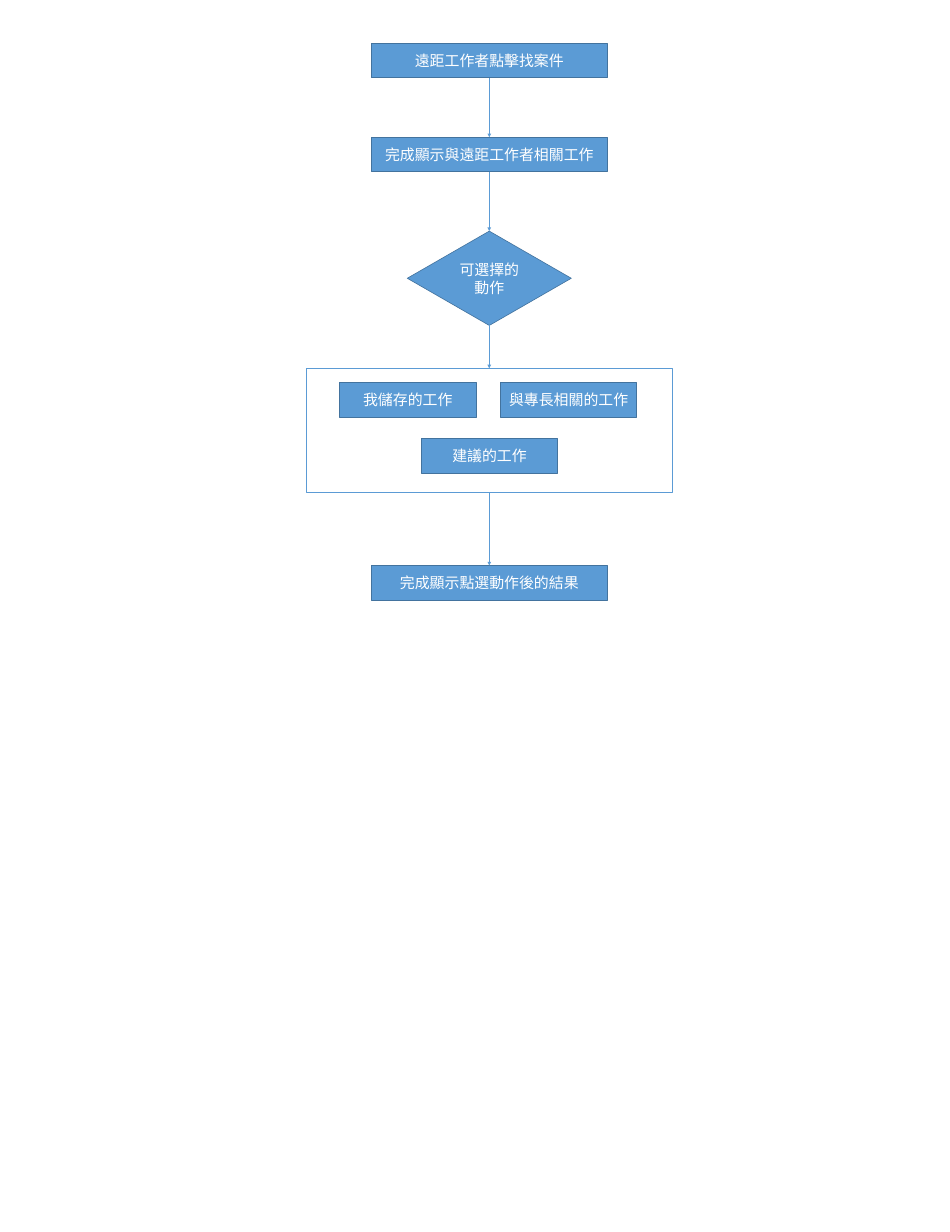
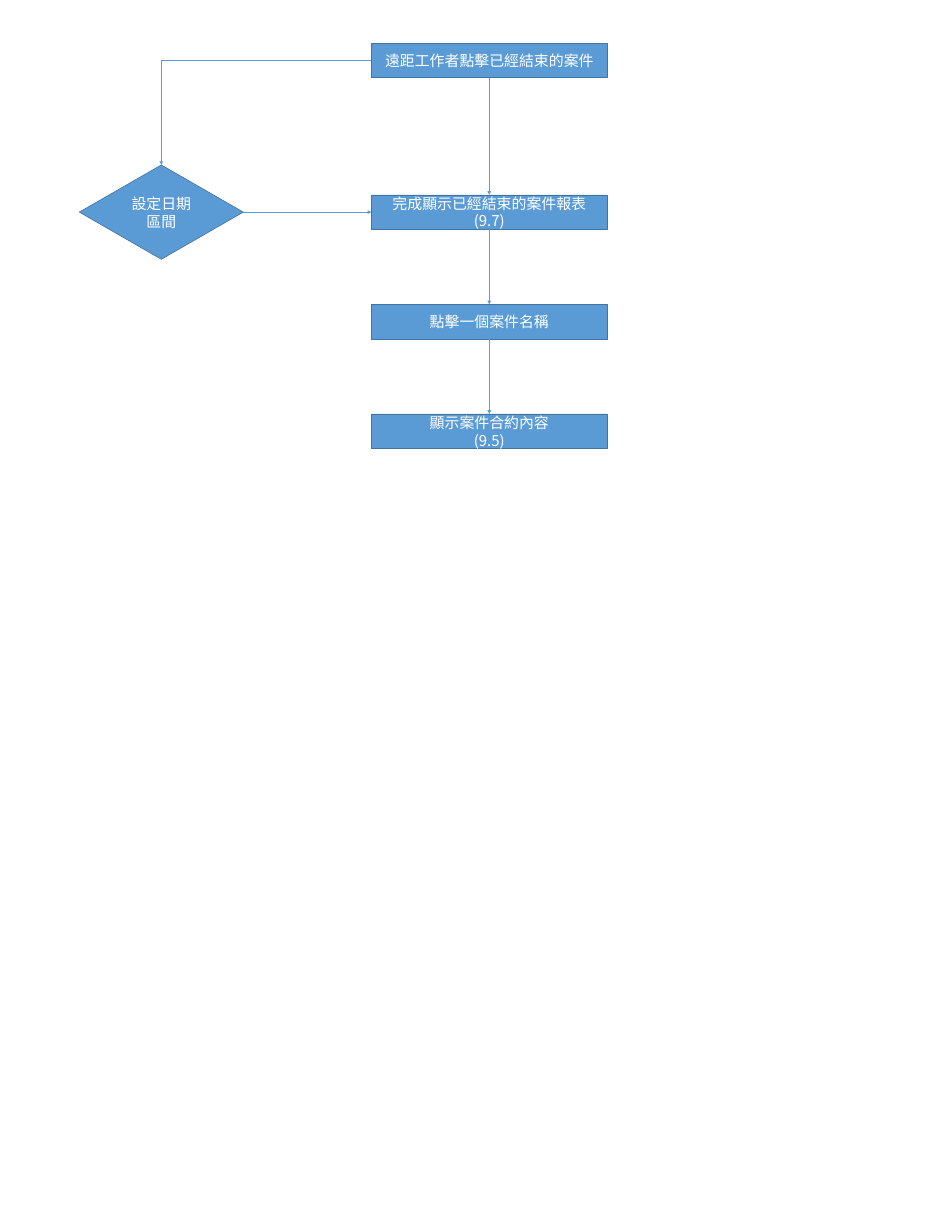
from itertools import pairwise

from lxml import etree
from pptx import Presentation
from pptx.dml.color import RGBColor
from pptx.enum.shapes import MSO_CONNECTOR, MSO_SHAPE
from pptx.enum.text import MSO_ANCHOR, PP_ALIGN
from pptx.oxml.ns import qn
from pptx.util import Inches, Pt

RECTANGLE, DIAMOND = MSO_SHAPE.RECTANGLE, MSO_SHAPE.DIAMOND
STRAIGHT, ELBOW = MSO_CONNECTOR.STRAIGHT, MSO_CONNECTOR.ELBOW
MIDDLE, CENTER = MSO_ANCHOR.MIDDLE, PP_ALIGN.CENTER
TOP_SITE, LEFT_SITE, BOTTOM_SITE, RIGHT_SITE = range(4)

BLUE, DARK_BLUE, WHITE = "5B9BD5", "43739E", "FFFFFF"
CJK_FONT, LATIN_FONT = "Noto Sans CJK SC", "Calibri"
SLIDE_SIZE = (21.26, 27.56)
AXIS = 10.95  # centre line of the main flow
FIRST_TOP = 0.97
STEP_SIZE = (5.28, 0.77)
OPTION_SIZE = (3.05, 0.77)
DECISION_SIZE = (3.67, 2.11)
PANEL_SIZE = (8.18, 2.78)


def color(hex_value):
    return RGBColor.from_string(hex_value)


def add_block(slide, kind, left, top, size, fill=BLUE, outline=DARK_BLUE):
    shape = slide.shapes.add_shape(kind, *map(Inches, (left, top, *size)))
    shape.shadow.inherit = False
    shape.fill.solid()
    shape.fill.fore_color.rgb = color(fill)
    shape.line.color.rgb = color(outline)
    shape.line.width = Pt(1)
    return shape


def write_label(shape, lines, font_name):
    frame = shape.text_frame
    frame.word_wrap = True
    frame.vertical_anchor = MIDDLE
    frame.text = "\n".join(lines)
    for paragraph in frame.paragraphs:
        paragraph.alignment = CENTER
        for run in paragraph.runs:
            for name, value in {"size": Pt(24), "name": font_name}.items():
                setattr(run.font, name, value)
            run.font.color.rgb = color(WHITE)
            east_asian = etree.SubElement(run.font._element, qn("a:ea"))
            east_asian.set("typeface", CJK_FONT)


def add_step(slide, top, *lines):
    shape = add_block(slide, RECTANGLE, AXIS - STEP_SIZE[0] / 2, top, STEP_SIZE)
    write_label(shape, lines, CJK_FONT)
    return shape


def add_decision(slide, center, top, text):
    shape = add_block(slide, DIAMOND, center - DECISION_SIZE[0] / 2, top, DECISION_SIZE)
    write_label(shape, [text], LATIN_FONT)
    return shape


def add_option_panel(slide, left, top, options):
    """Outlined panel; each option is (x, y, text) relative to its corner."""
    panel = add_block(slide, RECTANGLE, left, top, PANEL_SIZE, WHITE, BLUE)
    for x, y, text in options:
        option = add_block(slide, RECTANGLE, left + x, top + y, OPTION_SIZE)
        write_label(option, [text], CJK_FONT)
    return panel


def add_arrow(slide, source, target, start=BOTTOM_SITE, end=TOP_SITE, kind=STRAIGHT):
    connector = slide.shapes.add_connector(kind, 0, 0, 0, 0)
    connector.begin_connect(source, start)
    connector.end_connect(target, end)
    connector.line.color.rgb = color(BLUE)
    connector.line.width = Pt(0.5)
    properties = connector._element.spPr
    if kind == ELBOW:  # one corner only
        properties.find(qn("a:prstGeom")).set("prst", "bentConnector2")
    line = properties.find(qn("a:ln"))
    etree.SubElement(line, qn("a:tailEnd")).set("type", "triangle")
    etree.SubElement(properties, qn("a:effectLst"))


def chain(slide, shapes):
    """Join each shape to the next one below it."""
    for source, target in pairwise(shapes):
        add_arrow(slide, source, target)


def build_find_cases(slide):
    chain(slide, [
        add_step(slide, FIRST_TOP, "遠距工作者點擊找案件"),
        add_step(slide, 3.07, "完成顯示與遠距工作者相關工作"),
        add_decision(slide, AXIS, 5.17, "可選擇的動作"),
        add_option_panel(slide, AXIS - PANEL_SIZE[0] / 2, 8.24, [
            (0.74, 0.32, "我儲存的工作"),
            (4.34, 0.32, "與專長相關的工作"),
            (2.57, 1.57, "建議的工作"),
        ]),
        add_step(slide, 12.65, "完成顯示點選動作後的結果"),
    ])


def build_closed_cases(slide):
    start = add_step(slide, FIRST_TOP, "遠距工作者點擊已經結束的案件")
    report_top, pitch = 4.36, 2.45
    report, case, contract = [
        add_step(slide, report_top + index * pitch, *lines)
        for index, lines in enumerate([
            ("完成顯示已經結束的案件報表", "(9.7)"),
            ("點擊一個案件名稱",),
            ("顯示案件合約內容", "(9.5)"),
        ])
    ]
    decision_top = report_top + (STEP_SIZE[1] - DECISION_SIZE[1]) / 2
    dates = add_decision(slide, 3.61, decision_top, "設定日期區間")
    chain(slide, [start, report, case, contract])
    add_arrow(slide, start, dates, LEFT_SITE, TOP_SITE, ELBOW)
    add_arrow(slide, dates, report, RIGHT_SITE, LEFT_SITE)


def main():
    presentation = Presentation()
    presentation.slide_width, presentation.slide_height = map(Inches, SLIDE_SIZE)
    blank = presentation.slide_layouts[6]
    for build in (build_find_cases, build_closed_cases):
        build(presentation.slides.add_slide(blank))
    presentation.save("out.pptx")


if __name__ == "__main__":
    main()
